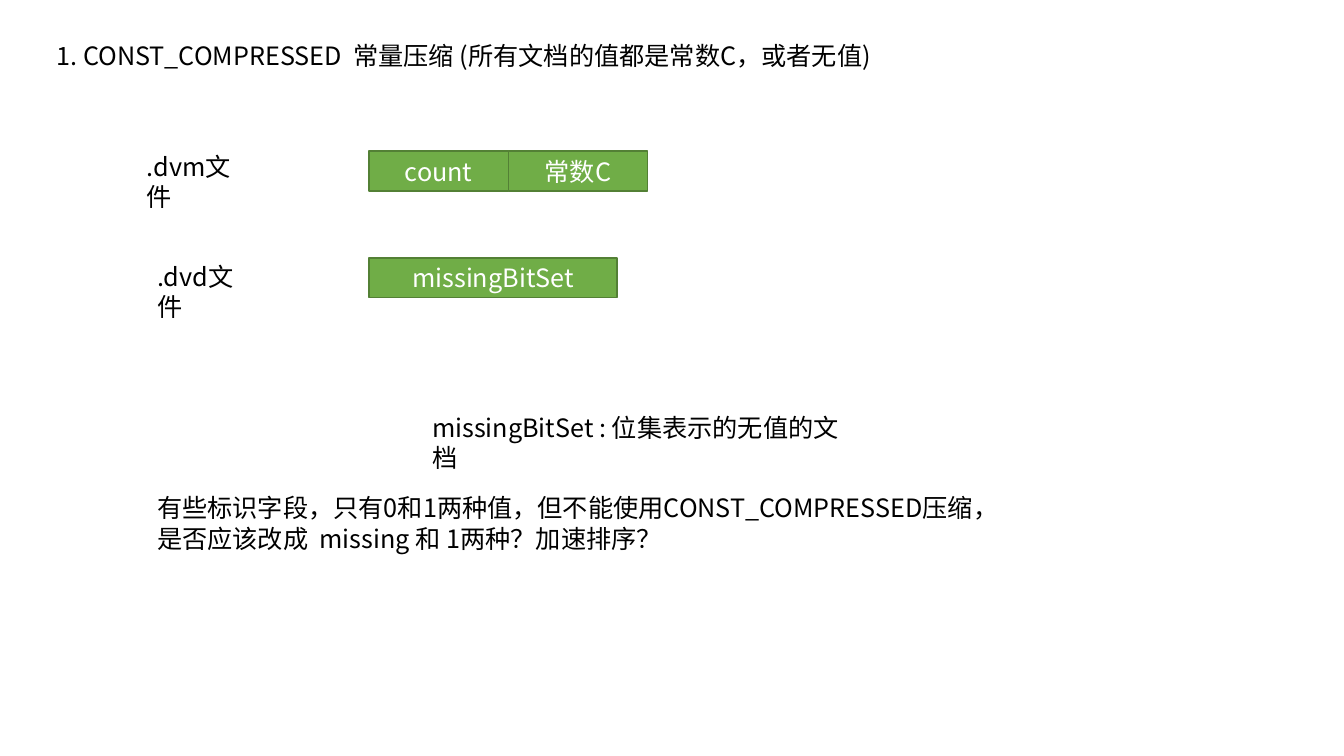
from collections import namedtuple
from dataclasses import dataclass

from lxml import etree
from pptx import Presentation
from pptx.dml.color import RGBColor
from pptx.enum import shapes, text
from pptx.oxml import ns
from pptx.util import Cm, Pt

Box = namedtuple("Box", "left top width height")


@dataclass(frozen=True)
class Theme:
    font: str = "Noto Sans CJK SC"
    size: float = 18
    line_width: float = 1
    ink: RGBColor = RGBColor(0x00, 0x00, 0x00)
    cell_ink: RGBColor = RGBColor(0xFF, 0xFF, 0xFF)
    cell_fill: RGBColor = RGBColor(0x70, 0xAD, 0x47)
    cell_line: RGBColor = RGBColor(0x53, 0x80, 0x35)


THEME = Theme()


def apply(target, values):
    for name, value in values.items():
        setattr(target, name, value)


def place(shape, box):
    apply(shape, {name: Cm(length) for name, length in box._asdict().items()})


def write(shape, lines, color, align, frame_format):
    """Fill a shape with one paragraph per line."""
    frame = shape.text_frame
    apply(frame, {"word_wrap": True, **frame_format})
    for index, line in enumerate(lines):
        para = frame.add_paragraph() if index else frame.paragraphs[0]
        para.alignment = align
        span = para.add_run()
        span.text = line
        apply(span.font, {"name": THEME.font, "size": Pt(THEME.size)})
        span.font.color.rgb = color
        # Chinese characters take their face from the East Asian font
        east_asian = etree.Element(ns.qn("a:ea"), typeface=THEME.font)
        span.font._element.find(ns.qn("a:latin")).addnext(east_asian)


def write_plain(shape, lines):
    write(shape, lines, THEME.ink, text.PP_ALIGN.LEFT, {
        "auto_size": text.MSO_AUTO_SIZE.SHAPE_TO_FIT_TEXT,
        "vertical_anchor": text.MSO_ANCHOR.TOP,
    })


def add_heading(page, box, line):
    place(page.shapes.title, box)
    write_plain(page.shapes.title, [line])


def add_note(page, box, lines):
    note = page.shapes.add_textbox(*map(Cm, box))
    write_plain(note, lines)


def add_file_row(page, label_box, label, cells_box, names):
    """A file name and its fields, which share the width of cells_box."""
    add_note(page, label_box, [label])
    width = cells_box.width / len(names)
    for index, name in enumerate(names):
        cell_box = cells_box._replace(left=cells_box.left + index * width, width=width)
        cell = page.shapes.add_shape(shapes.MSO_SHAPE.RECTANGLE, *map(Cm, cell_box))
        cell.shadow.inherit = False
        cell.fill.solid()
        cell.fill.fore_color.rgb = THEME.cell_fill
        cell.line.color.rgb = THEME.cell_line
        cell.line.width = Pt(THEME.line_width)
        write(cell, [name], THEME.cell_ink, text.PP_ALIGN.CENTER,
              {"vertical_anchor": text.MSO_ANCHOR.MIDDLE})


deck = Presentation()
apply(deck, {"slide_width": Cm(33.87), "slide_height": Cm(19.05)})
title_only = deck.slide_layouts[5]
page = deck.slides.add_slide(title_only)

# Heading
add_heading(page, Box(1.17, 0.89, 21.31, 1.02),
            "1. CONST_COMPRESSED  常量压缩 (所有文档的值都是常数C，或者无值)")

# Files and their fields
add_file_row(page, Box(3.45, 3.68, 3.15, 1.02), ".dvm文件",
             Box(9.3, 3.81, 7.02, 1), ["count", "常数C"])
add_file_row(page, Box(3.71, 6.45, 2.97, 1.02), ".dvd文件",
             Box(9.3, 6.5, 6.25, 1), ["missingBitSet"])

# Explanation and open question
add_note(page, Box(10.64, 10.26, 11.05, 1.02), ["missingBitSet : 位集表示的无值的文档"])
add_note(page, Box(3.71, 12.29, 21.49, 1.8), [
    "有些标识字段，只有0和1两种值，但不能使用CONST_COMPRESSED压缩，",
    "是否应该改成  missing 和 1两种？加速排序？",
])

deck.save("out.pptx")
